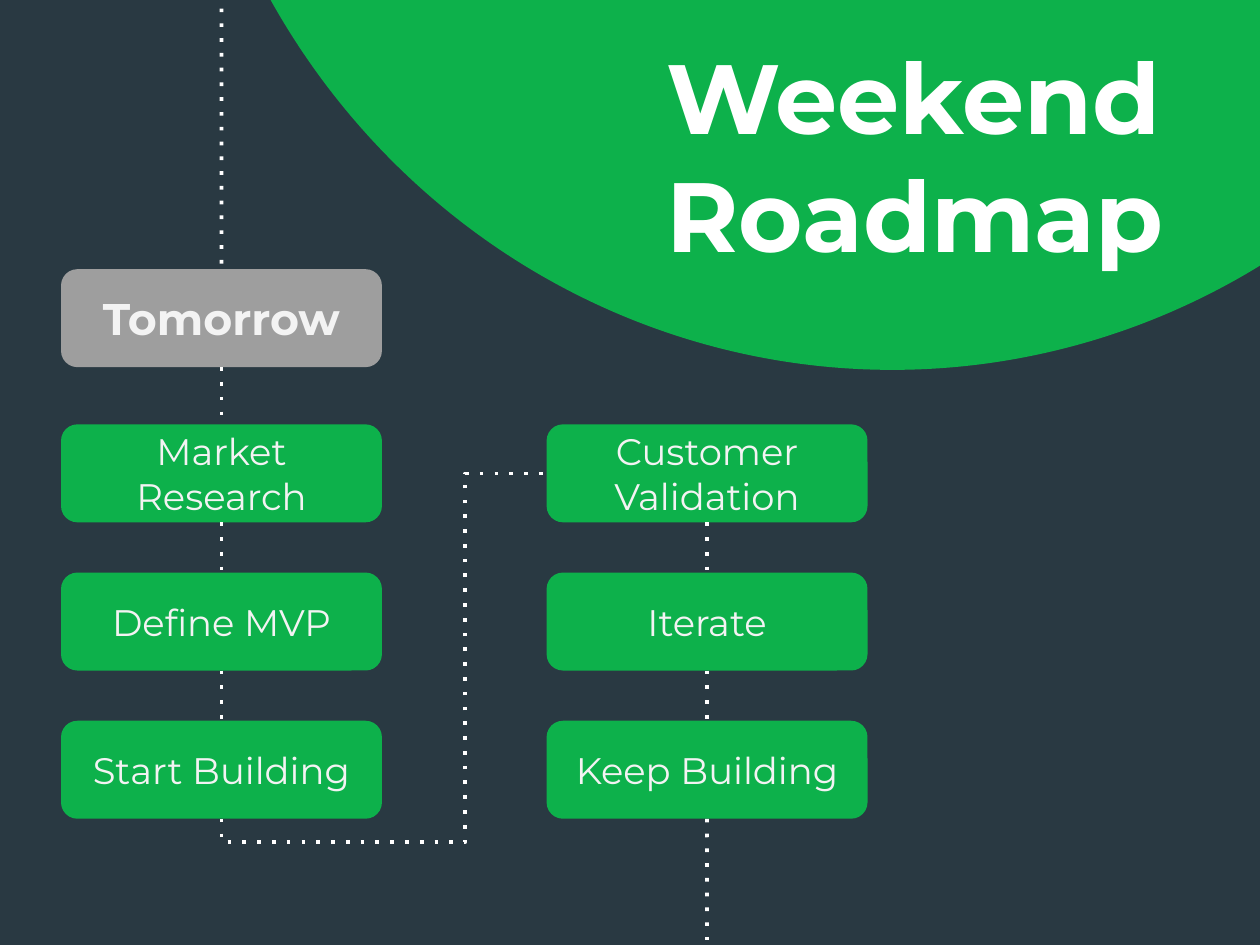
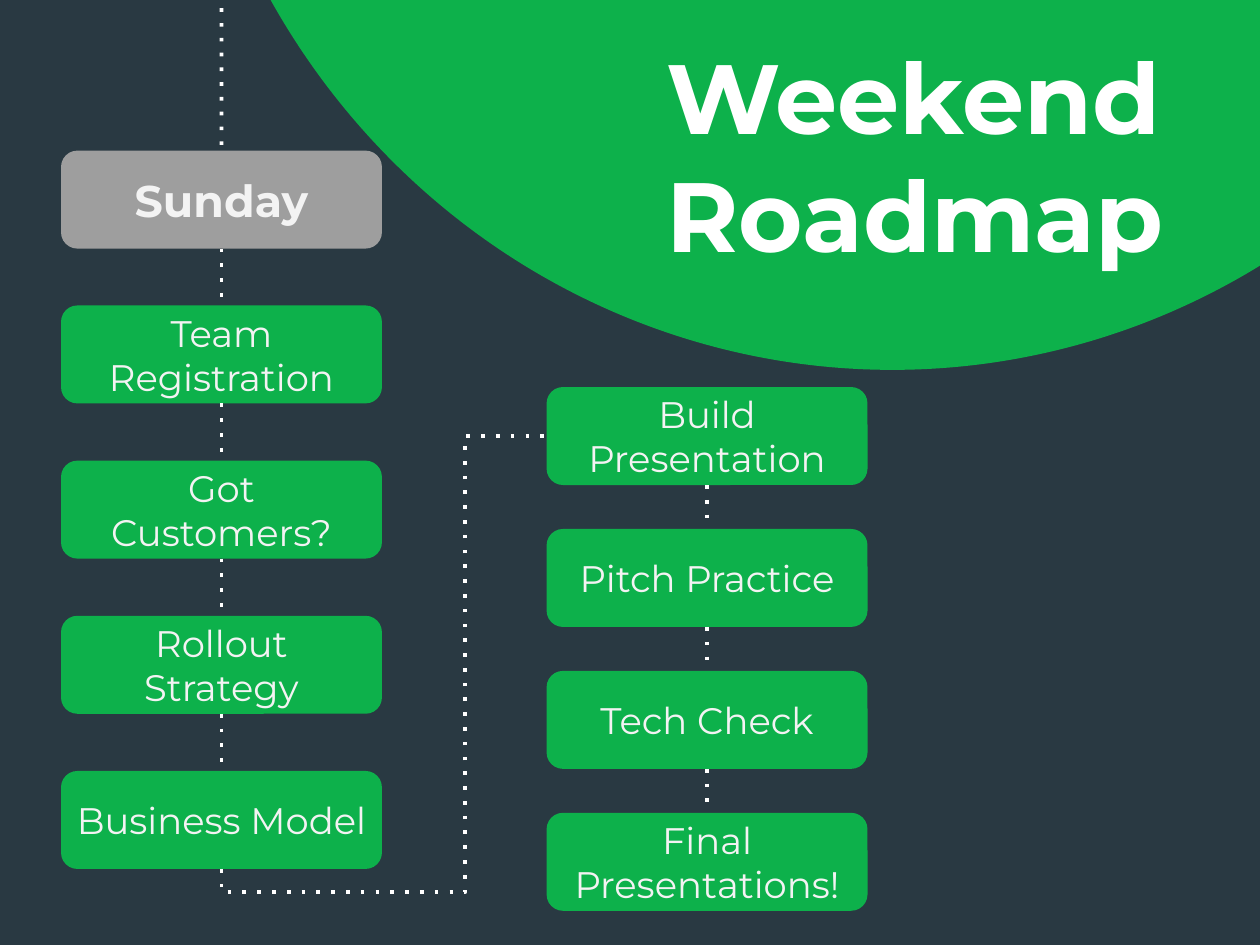
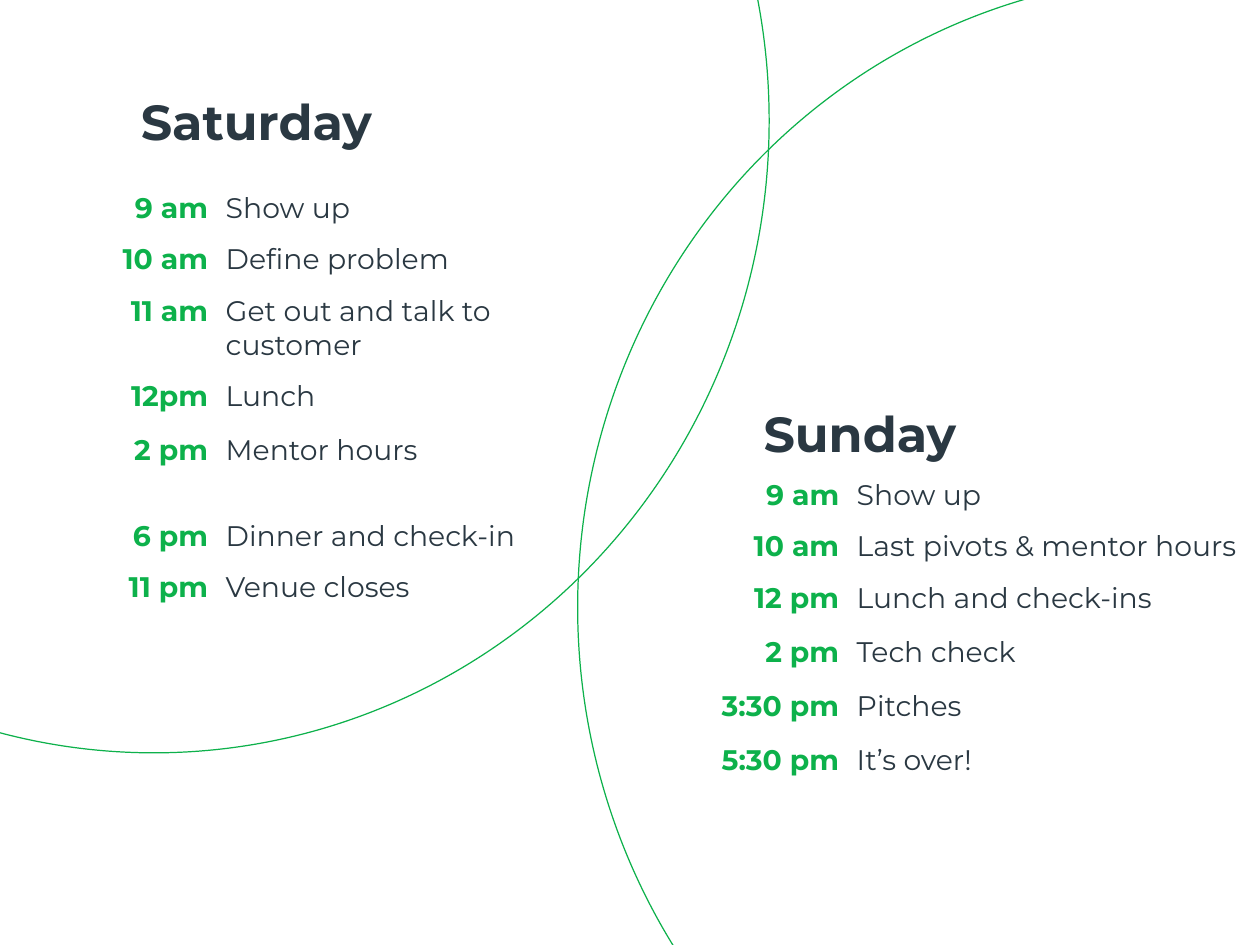
from itertools import pairwise

from lxml.etree import SubElement
from pptx import Presentation
from pptx.dml.color import RGBColor
from pptx.enum.shapes import MSO_CONNECTOR, MSO_SHAPE
from pptx.enum.text import MSO_ANCHOR, PP_ALIGN
from pptx.oxml.ns import qn
from pptx.util import Cm, Pt

DARK = RGBColor(0x29, 0x39, 0x42)
INK = RGBColor(0x2A, 0x38, 0x42)
GREEN = RGBColor(0x0D, 0xB1, 0x4B)
GREY = RGBColor(0x9E, 0x9E, 0x9E)
PALE = RGBColor(0xF3, 0xF3, 0xF3)
WHITE = RGBColor(0xFF, 0xFF, 0xFF)

FACE = "Montserrat"
TITLE = {"name": FACE, "size": Pt(80), "bold": True, "color": WHITE}
HEAD = {"name": FACE, "size": Pt(36), "bold": True, "color": PALE}
STEP = {"name": FACE, "size": Pt(30), "bold": False, "color": PALE}
DAY = {"name": FACE, "size": Pt(40), "bold": True, "color": INK}
HOUR = {"name": FACE, "size": Pt(23), "bold": True, "color": GREEN}
EVENT = {"name": FACE, "size": Pt(23), "bold": False, "color": INK}

PLAIN = "{2D5ABB26-0587-4C30-8999-92F81FD0307C}"
WIDE, HIGH = 9.2, 2.81
LEFT, RIGHT = 1.75, 15.67
LEAD, DROP = 7.9, 0.67
FOOT = 26.95

ROADS = [
    {
        "head": ("Tomorrow", 7.72),
        "left": (["Market Research", "Define MVP", "Start Building"], 12.17, 4.25),
        "right": (["Customer Validation", "Iterate", "Keep Building"], 12.17, 4.25),
        "tail": True,
    },
    {
        "head": ("Sunday", 4.32),
        "left": (["Team Registration", "Got Customers?", "Rollout Strategy",
                  "Business Model"], 8.76, 4.45),
        "right": (["Build Presentation", "Pitch Practice", "Tech Check",
                   "Final Presentations!"], 11.1, 4.07),
        "tail": False,
    },
]

RINGS = [(16.56, -0.71), (-13.23, -14.66)]
DAYS = [
    ("Saturday", (3.89, 2.41), (1.27, 5.23), (4.95, 9.88), [
        ("9 am", "Show up", 1.42),
        ("10 am", "Define problem", 1.32),
        ("11 am", "Get out and talk to customer", 1.55),
        ("12pm", "Lunch", 1.55),
        ("2 pm", "Mentor hours", 2.46),
        ("6 pm", "Dinner and check-in", 1.47),
        ("11 pm", "Venue closes", 1.42),
    ]),
    ("Sunday", (21.74, 11.35), (18.52, 13.46), (5.79, 11.56), [
        ("9 am", "Show up", 1.42),
        ("10 am", "Last pivots & mentor hours", 1.32),
        ("12 pm", "Lunch and check-ins", 1.55),
        ("2 pm", "Tech check", 1.55),
        ("3:30 pm", "Pitches", 1.55),
        ("5:30 pm", "It’s over!", 1.55),
    ]),
]


def write(frame, text, style, align=PP_ALIGN.LEFT, inset=0.25):
    for side in ("left", "top", "right", "bottom"):
        setattr(frame, f"margin_{side}", Cm(inset))
    frame.word_wrap = True
    para = frame.paragraphs[0]
    para.alignment = align
    run = para.add_run()
    run.text = text
    for key, value in style.items():
        if key == "color":
            run.font.color.rgb = value
        else:
            setattr(run.font, key, value)


def label(slide, box, text, style):
    frame = slide.shapes.add_textbox(*map(Cm, box)).text_frame
    frame.vertical_anchor = MSO_ANCHOR.MIDDLE
    write(frame, text, style, inset=0.15)


def disc(slide, box, width, fill=None):
    shape = slide.shapes.add_shape(MSO_SHAPE.OVAL, *map(Cm, box))
    shape.shadow.inherit = False
    if fill is None:
        shape.fill.background()
    else:
        shape.fill.solid()
        shape.fill.fore_color.rgb = fill
    shape.line.color.rgb = GREEN
    shape.line.width = Pt(width)


def card(slide, left, top, text, fill, style):
    shape = slide.shapes.add_shape(
        MSO_SHAPE.ROUNDED_RECTANGLE, Cm(left), Cm(top), Cm(WIDE), Cm(HIGH))
    shape.shadow.inherit = False
    shape.fill.solid()
    shape.fill.fore_color.rgb = fill
    shape.line.fill.background()
    shape.text_frame.vertical_anchor = MSO_ANCHOR.MIDDLE
    write(shape.text_frame, text, style, PP_ALIGN.CENTER)
    return shape


def stack(slide, left, names, top, pitch):
    return [card(slide, left, top + i * pitch, name, GREEN, STEP)
            for i, name in enumerate(names)]


def wire(slide, kind=MSO_CONNECTOR.STRAIGHT, ends=(0, 0, 0, 0)):
    line = slide.shapes.add_connector(kind, *ends)
    line.line.color.rgb = WHITE
    line.line.width = Pt(3)
    props = line._element.spPr
    SubElement(props.find(qn("a:ln")), qn("a:prstDash"), val="dot")
    SubElement(props, qn("a:effectLst"))
    return line


def link(slide, start, end):
    line = wire(slide)
    line.begin_connect(start, 2)
    line.end_connect(end, 0)


def bend(slide, start, end):
    line = wire(slide, MSO_CONNECTOR.ELBOW)
    line.begin_connect(start, 2)
    line.end_connect(end, 1)
    x, y = start.left + start.width // 2, start.top + start.height
    across, rise = end.left - x, y - end.top - end.height // 2
    line.left, line.top = x + (across - rise) // 2, y - (rise + across) // 2
    line.width, line.height = rise, across
    props = line._element.spPr
    frame = props.find(qn("a:xfrm"))
    for flip in ("flipH", "flipV"):
        frame.attrib.pop(flip, None)
    frame.set("rot", "16200000")
    shape = props.find(qn("a:prstGeom"))
    shape.set("prst", "bentConnector4")
    for old in list(shape):
        shape.remove(old)
    guides = SubElement(shape, qn("a:avLst"))
    for i, part in enumerate((-Cm(DROP) / rise, 0.75), 1):
        SubElement(guides, qn("a:gd"), name=f"adj{i}", fmla=f"val {round(part * 100000)}")


def blank(deck, color):
    slide = deck.slides.add_slide(deck.slide_layouts[6])
    slide.background.fill.solid()
    slide.background.fill.fore_color.rgb = color
    return slide


def banner(slide):
    disc(slide, (5.21, -31.45, 40.74, 41.88), 10, GREEN)
    label(slide, (18.95, 0.66, 16.48, 7.54), "Weekend Roadmap", TITLE)


def roadmap(deck, head, left, right, tail):
    slide = blank(deck, DARK)
    banner(slide)
    name, top = head
    first = card(slide, LEFT, top, name, GREY, HEAD)
    near = [first, *stack(slide, LEFT, *left)]
    far = stack(slide, RIGHT, *right)
    for row in (near, far):
        for start, end in pairwise(row):
            link(slide, start, end)
    bend(slide, near[-1], far[0])
    x = Cm(LEFT + WIDE / 2)
    lead = wire(slide, ends=(x, Cm(top - LEAD), x, Cm(top)))
    lead.end_connect(first, 0)
    if tail:
        x = Cm(RIGHT + WIDE / 2)
        line = wire(slide, ends=(x, Cm(FOOT - 1), x, Cm(FOOT)))
        line.begin_connect(far[-1], 2)


def agenda(slide, spot, widths, rows):
    size = sum(widths), sum(row[2] for row in rows)
    grid = slide.shapes.add_table(len(rows), 2, *map(Cm, (*spot, *size))).table
    grid.first_row = grid.horz_banding = False
    grid._tbl.tblPr.find(qn("a:tableStyleId")).text = PLAIN
    for col, width in zip(grid.columns, widths):
        col.width = Cm(width)
    for row, (hour, event, height) in zip(grid.rows, rows):
        row.height = Cm(height)
        parts = ((hour, HOUR, PP_ALIGN.RIGHT), (event, EVENT, PP_ALIGN.LEFT))
        for cell, (text, style, align) in zip(row.cells, parts):
            cell.fill.background()
            for side in ("left", "top", "right", "bottom"):
                setattr(cell, f"margin_{side}", Cm(0.25))
            write(cell.text_frame, text, style, align)


def schedule(deck):
    slide = blank(deck, WHITE)
    for spot in RINGS:
        disc(slide, (*spot, 35.28, 36.25), 1)
    for name, place, spot, widths, rows in DAYS:
        label(slide, (*place, 8.69, 2.11), name, DAY)
        agenda(slide, spot, widths, rows)


def main():
    deck = Presentation()
    deck.slide_width, deck.slide_height = Cm(36.12), Cm(27.1)
    for road in ROADS:
        roadmap(deck, **road)
    schedule(deck)
    deck.save("out.pptx")


if __name__ == "__main__":
    main()
